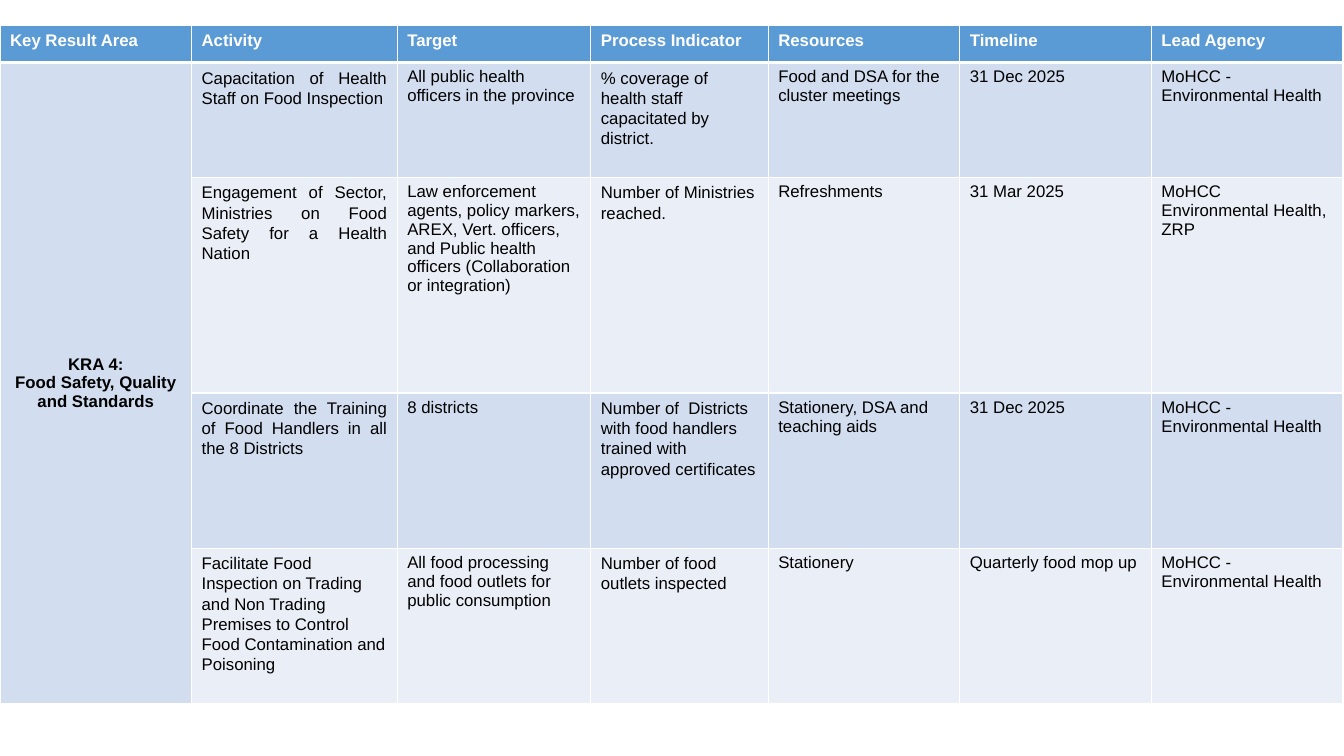
from lxml.etree import SubElement
from pptx import Presentation
from pptx.dml.color import RGBColor
from pptx.enum.text import MSO_ANCHOR, PP_ALIGN
from pptx.oxml.ns import qn
from pptx.util import Inches, Pt

HEADERS = ["Key Result Area", "Activity", "Target", "Process Indicator",
           "Resources", "Timeline", "Lead Agency"]
AREA = ["KRA 4:", "Food Safety, Quality and Standards"]
ACTIVITIES = [
    ["Capacitation of Health Staff on Food Inspection",
     "All public health officers in the province",
     "% coverage of health staff capacitated by district.",
     "Food and DSA for the cluster meetings", "31 Dec 2025",
     "MoHCC - Environmental Health"],
    ["Engagement of Sector, Ministries on Food Safety for a Health Nation",
     "Law enforcement agents, policy markers, AREX, Vert. officers, and "
     "Public health officers (Collaboration or integration)",
     "Number of Ministries reached.", "Refreshments", "31 Mar 2025",
     "MoHCC Environmental Health, ZRP"],
    ["Coordinate the Training of Food Handlers in all the 8 Districts",
     "8 districts",
     "Number of  Districts with food handlers trained with approved certificates",
     "Stationery, DSA and teaching aids", "31 Dec 2025",
     "MoHCC - Environmental Health"],
    ["Facilitate Food Inspection on Trading and Non Trading Premises to "
     "Control Food Contamination and Poisoning",
     "All food processing and food outlets for public consumption",
     "Number of food outlets inspected", "Stationery",
     "Quarterly food mop up", "MoHCC - Environmental Health"],
]
COLUMN_WIDTHS = [1.9, 2.04, 1.92, 1.76, 1.9, 1.9, 1.9]
ROW_HEIGHTS = [0.37, 1.14, 2.14, 1.54, 1.54]
HEADER_FILL = "5B9BD5"
BAND_FILLS = ["D2DEEF", "EAEFF7"]
SPACED_COLUMNS = (1, 3)  # activity and process indicator


def color(value):
    return RGBColor.from_string(value)


def write(frame, *lines, ink="000000", bold=False, align=PP_ALIGN.LEFT, spaced=False):
    for index, line in enumerate(lines):
        paragraph = frame.paragraphs[0] if index == 0 else frame.add_paragraph()
        paragraph.alignment = align
        if spaced:
            paragraph.line_spacing = 1.07
            paragraph.space_after = Pt(8)
        run = paragraph.add_run()
        run.text = line
        run.font.name = "Arial"
        run.font.size = Pt(12)
        run.font.bold = bold
        run.font.color.rgb = color(ink)


class PlanSlide:
    """Holds the border style and the current slide."""

    def __init__(self, slide, border="FFFFFF"):
        self.slide = slide
        self.border = border

    def table(self, left, top, widths, heights):
        shape = self.slide.shapes.add_table(
            len(heights), len(widths), Inches(left), Inches(top),
            Inches(sum(widths)), Inches(sum(heights)))
        table = shape.table
        table.horz_banding = False
        for column, width in zip(table.columns, widths):
            column.width = Inches(width)
        for row, height in zip(table.rows, heights):
            row.height = Inches(height)
        return table

    def cell(self, cell, fill, top=1, bottom=1):
        properties = cell._tc.get_or_add_tcPr()
        for side, points in (("L", 1), ("R", 1), ("T", top), ("B", bottom)):
            line = SubElement(properties, qn(f"a:ln{side}"), w=str(Pt(points)))
            line_fill = SubElement(line, qn("a:solidFill"))
            SubElement(line_fill, qn("a:srgbClr"), val=self.border)
        cell.fill.solid()
        cell.fill.fore_color.rgb = color(fill)


def main():
    presentation = Presentation()
    presentation.slide_width = Inches(13.33)
    presentation.slide_height = Inches(7.5)
    plan = PlanSlide(presentation.slides.add_slide(presentation.slide_layouts[6]))
    table = plan.table(0, 0.25, COLUMN_WIDTHS, ROW_HEIGHTS)

    # Header row
    for column, header in enumerate(HEADERS):
        cell = table.cell(0, column)
        plan.cell(cell, HEADER_FILL, bottom=3)
        write(cell.text_frame, header, ink="FFFFFF", bold=True, spaced=True)

    # Key result area, spanning every activity
    area = table.cell(1, 0)
    area.merge(table.cell(len(ACTIVITIES), 0))
    area.vertical_anchor = MSO_ANCHOR.MIDDLE
    write(area.text_frame, *AREA, bold=True, align=PP_ALIGN.CENTER)

    # Activity rows in alternating bands
    for row, texts in enumerate(ACTIVITIES, start=1):
        top = 3 if row == 1 else 1
        plan.cell(table.cell(row, 0), BAND_FILLS[0], top=top)
        for column, text in enumerate(texts, start=1):
            cell = table.cell(row, column)
            plan.cell(cell, BAND_FILLS[(row - 1) % 2], top=top)
            justified = column == 1 and row < len(ACTIVITIES)
            write(cell.text_frame, text, spaced=column in SPACED_COLUMNS,
                  align=PP_ALIGN.JUSTIFY if justified else PP_ALIGN.LEFT)

    presentation.save("out.pptx")


if __name__ == "__main__":
    main()
